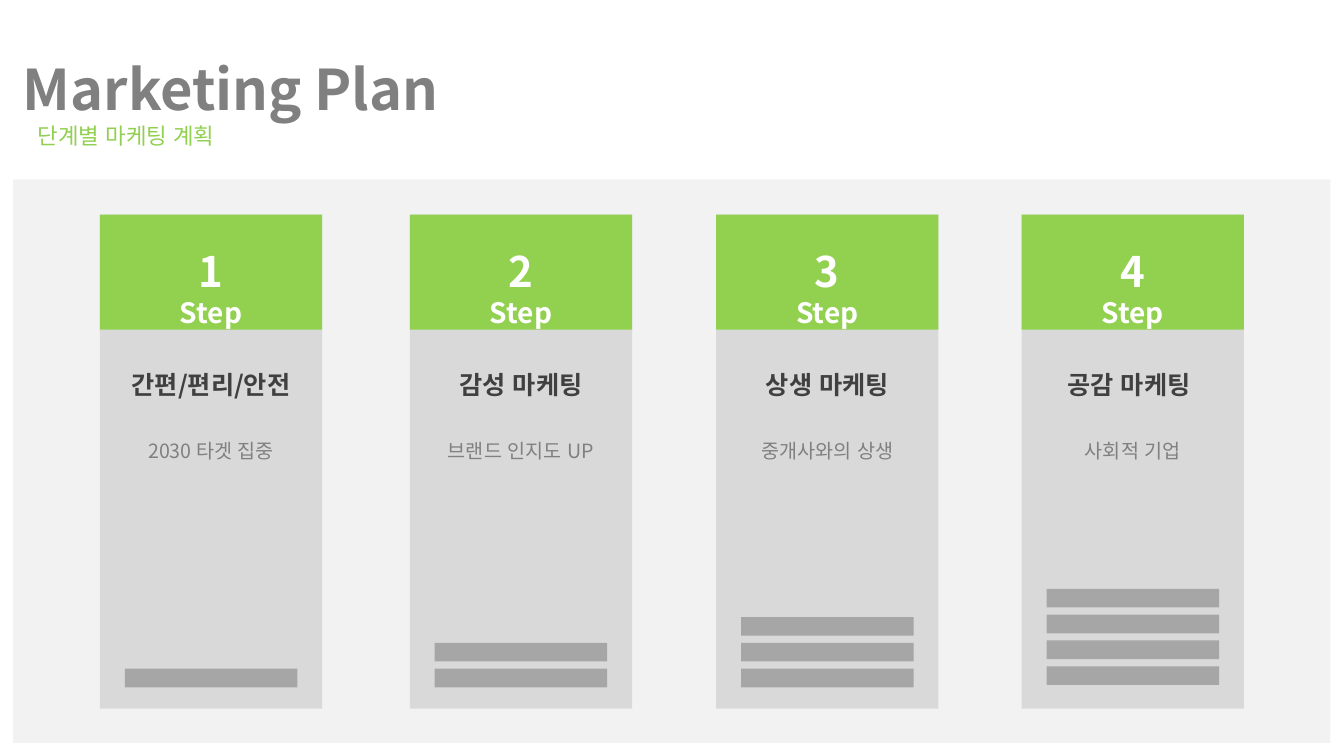
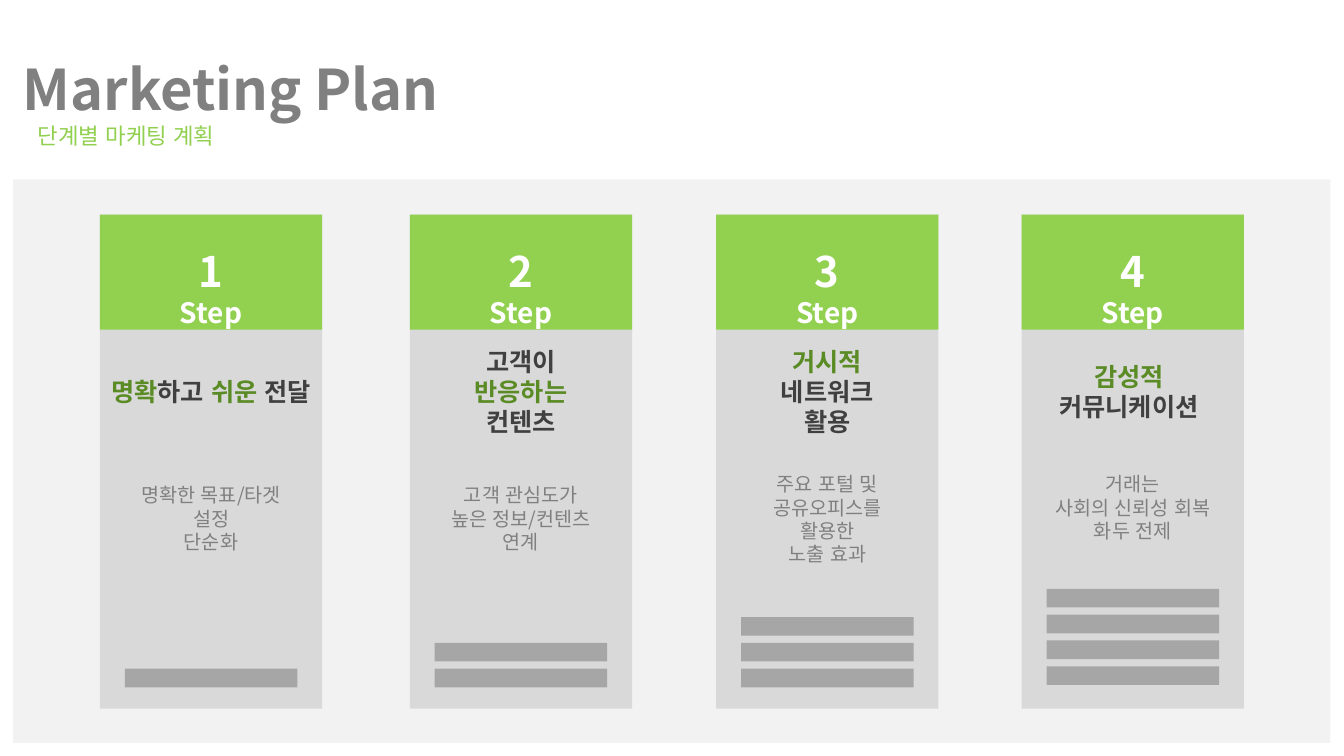
from lxml import etree
from pptx import Presentation
from pptx import util as u
from pptx.dml.color import RGBColor
from pptx.enum import lang, shapes, text
from pptx.oxml.ns import qn

FONT = "Noto Sans CJK KR"
GREEN, DARK_GREEN, WHITE = "92D050", "5A8B25", "FFFFFF"
PANEL, CARD, BAR = "F2F2F2", "D9D9D9", "A6A6A6"
GREY, DARK = "808080", "404040"

# Column geometry in cm: left, heading shift, bar shift
COLUMNS = [(2.52, 0, 0), (10.33, 0, 0), (18.05, 0, 0), (25.75, -0.1, -0.06)]
COL_TOP, COL_W, COL_H, HEAD_H = 5.41, 5.6, 12.45, 2.9
BAR_W, BAR_H, BAR_TOP, BAR_PITCH = 4.35, 0.47, 11.44, 0.65

# Per slide: middle of the headings, then (heading, body top, body) by column.
# Text between asterisks is accented.
SLIDES = [
    (4.27, [
        (["간편/편리/안전"], 5.54, ["2030 타겟 집중"]),
        (["감성 마케팅"], 5.54, ["브랜드 인지도 UP"]),
        (["상생 마케팅"], 5.54, ["중개사와의 상생"]),
        (["공감 마케팅"], 5.54, ["사회적 기업"]),
    ]),
    (4.46, [
        (["*명확*하고 *쉬운* 전달"], 6.65, ["명확한 목표/타겟 설정", "단순화"]),
        (["고객이", "*반응하는*", "컨텐츠"], 6.65,
         ["고객 관심도가", "높은 정보/컨텐츠 연계"]),
        (["*거시적*", "네트워크", "활용"], 6.37,
         ["주요 포털 및", "공유오피스를 활용한", "노출 효과"]),
        (["*감성적*", "커뮤니케이션"], 6.37,
         ["거래는", "사회의 신뢰성 회복", "화두 전제"]),
    ]),
]


def rgb(value):
    return RGBColor.from_string(value)


def add_rect(s, x, y, w, h, color):
    sp = s.shapes.add_shape(shapes.MSO_SHAPE.RECTANGLE,
                            u.Cm(x), u.Cm(y), u.Cm(w), u.Cm(h))
    sp.shadow.inherit = False
    sp.fill.solid()
    sp.fill.fore_color.rgb = rgb(color)
    sp.line.fill.background()


def write(sp, lines, sizes, color, bold=False, anchor=text.MSO_ANCHOR.TOP):
    """Fill a shape with centred lines; sizes gives one size per line."""
    tf = sp.text_frame
    tf.word_wrap = True
    tf.auto_size = text.MSO_AUTO_SIZE.NONE
    tf.vertical_anchor = anchor
    tf.margin_left = tf.margin_right = 0
    tf.text = "\n".join(line.replace("*", "") for line in lines)
    for p, line, size in zip(tf.paragraphs, lines, sizes):
        p.alignment = text.PP_ALIGN.CENTER
        p.line_spacing = u.Pt(round(size * 1.19, 1))
        p.space_before = u.Pt(0)
        pieces = line.split("*")
        p.runs[0].text = pieces[0]
        runs = [p.runs[0]] + [p.add_run() for _ in pieces[1:]]
        for i, (r, piece) in enumerate(zip(runs, pieces)):
            r.text = piece
            r.font.size, r.font.bold, r.font.name = u.Pt(size), bold, FONT
            r.font.color.rgb = rgb(DARK_GREEN if i % 2 else color)
            r.font.language_id = lang.MSO_LANGUAGE_ID.KOREAN
            ea = etree.Element(qn("a:ea"), typeface=FONT)
            r.font._element.find(qn("a:latin")).addnext(ea)
            if not piece:
                r._r.getparent().remove(r._r)


def add_text(s, x, y, w, h, lines, sizes, color, **style):
    sp = s.shapes.add_textbox(u.Cm(x), u.Cm(y), u.Cm(w), u.Cm(h))
    write(sp, lines, sizes, color, **style)


def add_header(s):
    # Title, subtitle and the panel behind the columns
    title = s.shapes.title
    title.left, title.top = u.Cm(0.25), u.Cm(0.96)
    title.width, title.height = u.Cm(11.13), u.Cm(2.54)
    write(title, ["Marketing Plan"], [40], GREY, bold=True,
          anchor=text.MSO_ANCHOR.MIDDLE)
    add_text(s, 0.64, 2.95, 5.08, 1.04, ["단계별 마케팅 계획"], [16], GREEN)
    add_rect(s, 0.33, 4.52, 33.2, 14.2, PANEL)


def add_column(s, number, column, heading_mid, content):
    x, heading_shift, bar_shift = column
    heading, body_top, body = content
    # Card with its numbered head
    add_rect(s, x, COL_TOP, COL_W, COL_H, CARD)
    add_rect(s, x, COL_TOP, COL_W, HEAD_H, GREEN)
    add_text(s, x, COL_TOP + 0.67, COL_W, 2.2, [str(number), "Step"],
             [30, 20], WHITE, bold=True)
    # One bar per step, stacked upwards
    for i in range(number):
        add_rect(s, x + (COL_W - BAR_W) / 2,
                 COL_TOP + BAR_TOP + bar_shift - i * BAR_PITCH,
                 BAR_W, BAR_H, BAR)
    # Heading and body
    add_text(s, x + heading_shift, COL_TOP + heading_mid - 1.5, COL_W, 3,
             heading, [18] * len(heading), DARK, bold=True,
             anchor=text.MSO_ANCHOR.MIDDLE)
    body_w = 4.12
    add_text(s, x + (COL_W - body_w) / 2, COL_TOP + body_top, body_w, 2.7,
             body, [14] * len(body), GREY)


def main():
    prs = Presentation()
    prs.slide_width, prs.slide_height = u.Cm(33.87), u.Cm(19.05)
    for heading_mid, contents in SLIDES:
        s = prs.slides.add_slide(prs.slide_layouts[5])
        add_header(s)
        for number, (column, content) in enumerate(zip(COLUMNS, contents), 1):
            add_column(s, number, column, heading_mid, content)
    prs.save("out.pptx")


if __name__ == "__main__":
    main()
